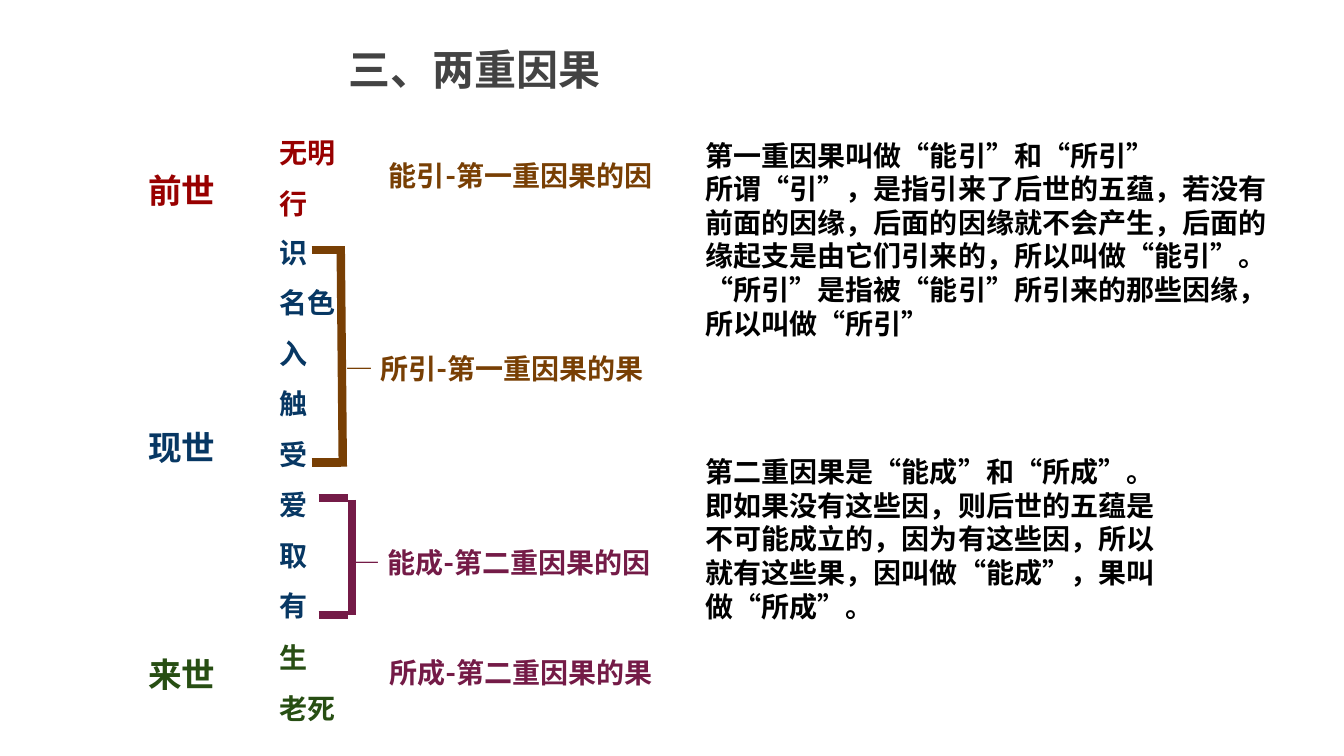
"""Build the slide on the two layers of cause and effect."""
import pptx
import pptx.dml.color
import pptx.enum.shapes
import pptx.enum.text
import pptx.util
from lxml import etree

Inches, Pt = pptx.util.Inches, pptx.util.Pt
RGBColor = pptx.dml.color.RGBColor

GREY = RGBColor(0x43, 0x43, 0x43)
BLACK = RGBColor(0x00, 0x00, 0x00)
RED = RGBColor(0x98, 0x00, 0x00)
BLUE = RGBColor(0x07, 0x37, 0x63)
GREEN = RGBColor(0x27, 0x4E, 0x13)
BROWN = RGBColor(0x78, 0x3F, 0x04)
PLUM = RGBColor(0x74, 0x1B, 0x47)
SANS, SLAB = "Arial", "Roboto Slab"

TITLE = ((3.36, 0.33, 7.1, 0.7), ["三、两重因果"], GREY)

LIVES = [
    ((1.37, 1.53, 1.14, 0.61), ["前世"], RED),
    ((1.37, 4.08, 1.14, 0.61), ["现世"], BLUE),
    ((1.37, 6.33, 1.06, 0.61), ["来世"], GREEN),
]
LINKS = [
    ((2.67, 1.39, 2.65, 0.88), ["无明", "行"], RED),
    ((2.67, 2.38, 3.28, 3.91),
     ["识", "名色", "入", "触", "受", "爱", "取", "有"], BLUE),
    ((2.67, 6.4, 3.28, 0.88), ["生", "老死"], GREEN),
]
LABELS = [
    ((3.76, 1.47, 3, 0.54), ["能引-第一重因果的因"], BROWN),
    ((3.33, 3.39, 3.8, 0.54), ["— 所引-第一重因果的果"], BROWN),
    ((3.4, 5.31, 4.56, 0.54), ["— 能成-第二重因果的因"], PLUM),
    ((3.76, 6.4, 3.28, 0.54), ["所成-第二重因果的果"], PLUM),
]
FIRST_NOTE = [((6.9, 1.27, 5.83, 2.56), [
    "第一重因果叫做“能引”和“所引”",
    "所谓“引”，是指引来了后世的五蕴，若没有前面的因缘，后面的因缘就不会产生，"
    "后面的缘起支是由它们引来的，所以叫做“能引”。",
    "“所引”是指被“能引”所引来的那些因缘，所以叫做“所引”",
], BLACK)]
SECOND_NOTE = [((6.9, 4.41, 4.86, 2.22), [
    "第二重因果是“能成”和“所成”。",
    "即如果没有这些因，则后世的五蕴是不可能成立的，因为有这些因，所以就有这些果，"
    "因叫做“能成”，果叫做“所成”。",
], BLACK)]

BRACKETS = [
    (BROWN, [(3.38, 2.51, 3.4, 4.63), (3.09, 2.48, 3.42, 2.48),
             (3.09, 4.59, 3.38, 4.59)]),
    (PLUM, [(3.16, 4.94, 3.45, 4.94), (3.16, 6.1, 3.45, 6.1),
            (3.49, 4.96, 3.49, 6.1)]),
]

GROUPS = [
    ([TITLE], SANS, 30, 1, 0),
    (LIVES, SANS, 24, 1.15, 0),
    (LINKS, SLAB, 20, 0.5, 24),
    (FIRST_NOTE, SLAB, 20, 1, 0),
    (SECOND_NOTE, SANS, 20, 1, 0),
    (LABELS, SLAB, 20, 1, 0),
]


def add_text(s, box, lines, color, font, size, spacing, gap):
    sp = s.shapes.add_textbox(*map(Inches, box))
    tf = sp.text_frame
    frame = {"word_wrap": True,
             "auto_size": pptx.enum.text.MSO_AUTO_SIZE.SHAPE_TO_FIT_TEXT}
    frame.update({f"margin_{side}": Inches(0.1)
                  for side in ("left", "top", "right", "bottom")})
    for name, value in frame.items():
        setattr(tf, name, value)
    for i, line in enumerate(lines):
        p = tf.add_paragraph() if i else tf.paragraphs[0]
        p.line_spacing = spacing
        if i and gap:
            p.space_before = Pt(gap)
        r = p.add_run()
        r.text = line
        for name, value in {"name": font, "size": Pt(size), "bold": True}.items():
            setattr(r.font, name, value)
        r.font.color.rgb = color


def add_line(s, ends, color):
    line = s.shapes.add_connector(
        pptx.enum.shapes.MSO_CONNECTOR.STRAIGHT, *map(Inches, ends))
    line.line.width = Pt(6)
    line.line.color.rgb = color
    etree.SubElement(line._element.spPr, pptx.oxml.ns.qn("a:effectLst"))


def main():
    prs = pptx.Presentation()
    prs.slide_width, prs.slide_height = Inches(13.33), Inches(7.5)
    s = prs.slides.add_slide(prs.slide_layouts[6])
    for items, *style in GROUPS:
        for box, lines, color in items:
            add_text(s, box, lines, color, *style)
    for color, strokes in BRACKETS:
        for ends in strokes:
            add_line(s, ends, color)
    prs.save("out.pptx")


if __name__ == "__main__":
    main()
